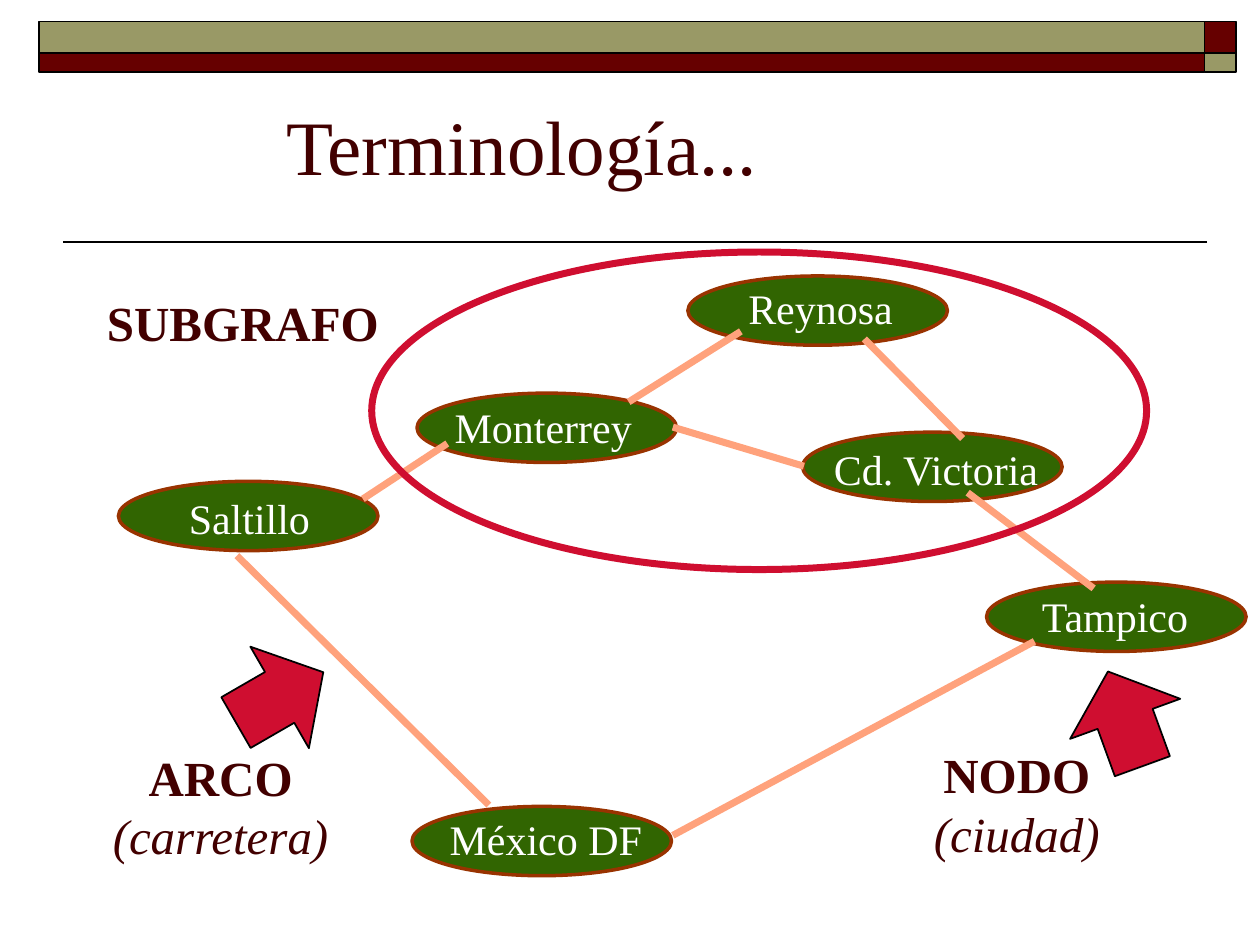
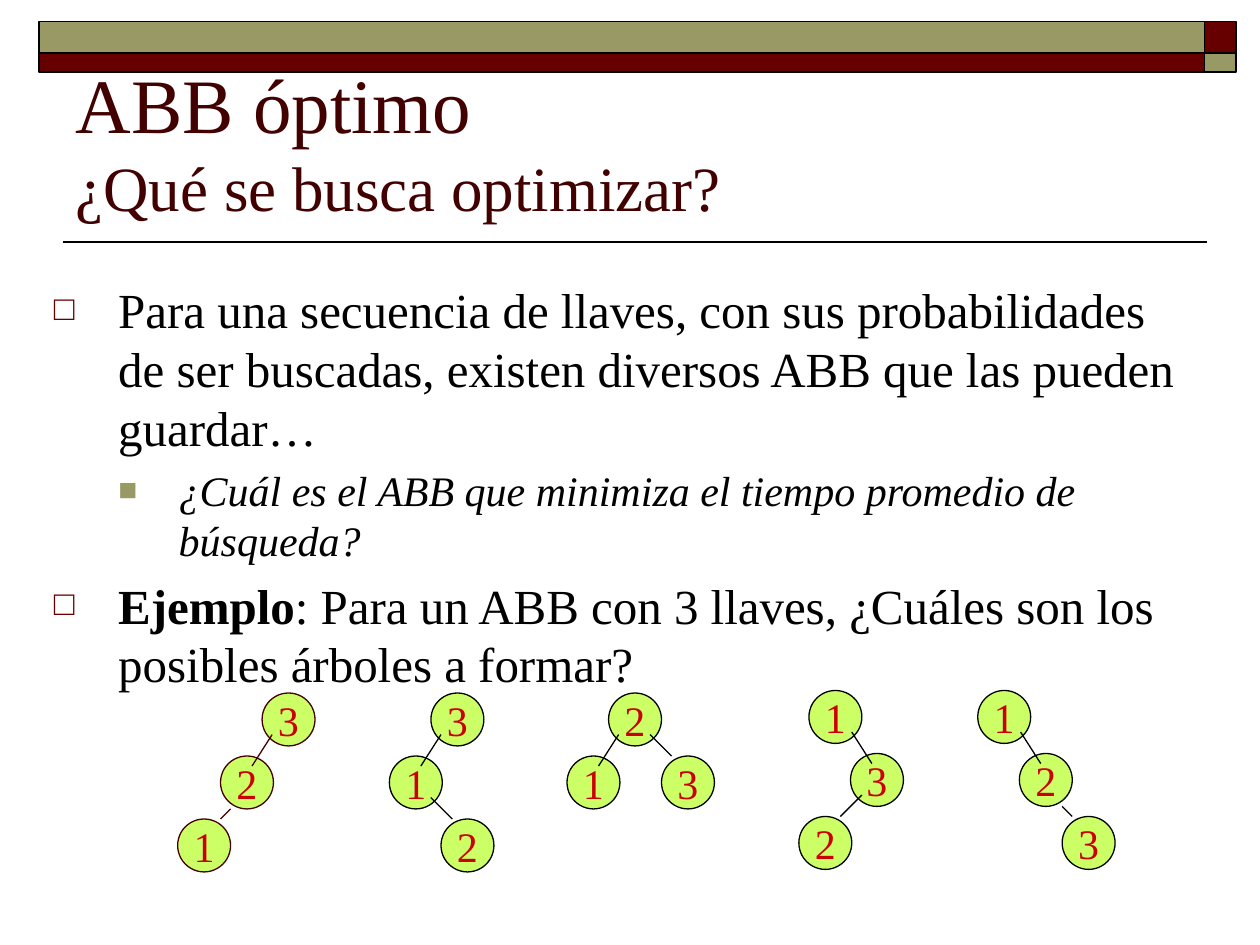
from lxml.etree import SubElement
from pptx import Presentation
from pptx.dml.color import RGBColor
from pptx.enum.shapes import MSO_CONNECTOR, MSO_SHAPE, MSO_SHAPE_TYPE
from pptx.enum.text import MSO_ANCHOR, MSO_AUTO_SIZE, PP_ALIGN
from pptx.oxml.ns import qn
from pptx.util import Inches, Pt

COLORS = {
    "title": "420000", "maroon": "660000", "olive": "999966", "black": "000000",
    "white": "FFFFFF", "city": "316501", "city_edge": "993300", "road": "FFA27C",
    "red": "CF0E30", "key_fill": "CCFF66", "key": "CC0000",
}
FONT = "Times New Roman"


def write(paragraph, text, size, color, bold=False, italic=False, align=PP_ALIGN.LEFT):
    paragraph.alignment = align
    run = paragraph.add_run()
    run.text = text
    run.font.name = FONT
    run.font.size = Pt(size)
    run.font.bold = bold
    run.font.italic = italic
    run.font.color.rgb = RGBColor.from_string(COLORS[color])


def paint(shape, line, width, fill=None):
    is_connector = shape.shape_type == MSO_SHAPE_TYPE.LINE
    if fill:
        shape.fill.solid()
        shape.fill.fore_color.rgb = RGBColor.from_string(COLORS[fill])
    elif not is_connector:
        shape.fill.background()
    shape.line.color.rgb = RGBColor.from_string(COLORS[line])
    shape.line.width = Pt(width)
    if is_connector:
        SubElement(shape._element.spPr, qn("a:effectLst"))
    else:
        shape.shadow.inherit = False


prs = Presentation()
prs.slide_width, prs.slide_height = Inches(10), Inches(7.5)
title_only = prs.slide_layouts[5]
graph_slide = prs.slides.add_slide(title_only)
tree_slide = prs.slides.add_slide(title_only)

bands = [
    (9.56, 0.17, 0.25, 0.25, "maroon"),
    (0.31, 0.17, 9.25, 0.25, "olive"),
    (0.31, 0.42, 9.25, 0.15, "maroon"),
    (9.56, 0.42, 0.25, 0.15, "olive"),
]
headings = [
    (graph_slide, (2.17, 0.52, 7.43, 1.25), MSO_ANCHOR.MIDDLE, [("Terminología...", 44)]),
    (tree_slide, (0.5, 0.58, 9, 1.25), MSO_ANCHOR.BOTTOM,
     [("ABB óptimo", 44), ("¿Qué se busca optimizar?", 36)]),
]
for slide, box, anchor, lines in headings:
    rule = slide.shapes.add_connector(
        MSO_CONNECTOR.STRAIGHT, Inches(9.58), Inches(1.92), Inches(0.5), Inches(1.92))
    paint(rule, "black", 1)
    for left, top, width, height, fill in bands:
        band = slide.shapes.add_shape(
            MSO_SHAPE.RECTANGLE, Inches(left), Inches(top), Inches(width), Inches(height))
        paint(band, "black", 1, fill)
    title = slide.shapes.title
    title.left, title.top, title.width, title.height = map(Inches, box)
    heading = title.text_frame
    heading.auto_size = MSO_AUTO_SIZE.NONE
    heading.vertical_anchor = anchor
    for index, (text, size) in enumerate(lines):
        if index:
            heading.paragraphs[0].add_line_break()
        write(heading.paragraphs[0], text, size, "title")

cities = [
    ("Monterrey", (3.31, 3.12), (3.51, 3.14, 1.7)),
    ("Saltillo", (0.94, 3.82), (1.4, 3.86, 1.26)),
    ("México DF", (3.27, 6.4), (3.47, 6.41, 1.83)),
    ("Reynosa", (5.46, 2.19), (5.84, 2.19, 1.45)),
    ("Cd. Victoria", (6.37, 3.43), (6.52, 3.47, 1.94)),
    ("Tampico", (7.83, 4.62), (8.17, 4.64, 1.48)),
]
for city, (left, top), name_box in cities:
    node = graph_slide.shapes.add_shape(
        MSO_SHAPE.OVAL, Inches(left), Inches(top), Inches(2.06), Inches(0.55))
    paint(node, "city_edge", 2, "city")

labels = [((*name_box, 0.5), [(city, 24, "white", False, False)])
          for city, position, name_box in cities]
for box, term, meaning in [
    ((0.74, 5.88, 2.02, 1.03), "ARCO", "(carretera)"),
    ((7.26, 5.86, 1.62, 1.03), "NODO", "(ciudad)"),
]:
    labels.append((box, [(term, 28, "title", True, False),
                         (meaning, 28, "title", False, True)]))
labels.append(((0.75, 2.27, 2.46, 0.56), [("SUBGRAFO", 28, "title", True, False)]))

for box, lines in labels:
    label = graph_slide.shapes.add_textbox(*map(Inches, box)).text_frame
    label.word_wrap = True
    align = PP_ALIGN.CENTER if len(lines) > 1 else PP_ALIGN.LEFT
    for index, (text, size, color, bold, italic) in enumerate(lines):
        paragraph = label.add_paragraph() if index else label.paragraphs[0]
        write(paragraph, text, size, color, bold=bold, italic=italic, align=align)

roads = [
    (2.88, 3.96, 3.55, 3.52),
    (5.34, 6.63, 8.21, 5.09),
    (1.88, 4.41, 3.88, 6.39),
    (4.99, 3.19, 5.88, 2.63),
    (7.64, 3.48, 6.86, 2.69),
    (8.68, 4.67, 7.68, 3.91),
    (6.38, 3.7, 5.34, 3.39),
]
for ends in roads:
    road = graph_slide.shapes.add_connector(MSO_CONNECTOR.STRAIGHT, *map(Inches, ends))
    paint(road, "road", 4)

for left, top, rotation in [(1.82, 5.07, 330), (8.53, 5.24, 250)]:
    pointer = graph_slide.shapes.add_shape(
        MSO_SHAPE.RIGHT_ARROW, Inches(left), Inches(top), Inches(0.8), Inches(0.93))
    pointer.rotation = rotation
    paint(pointer, "black", 1, "red")

subgraph = graph_slide.shapes.add_shape(
    MSO_SHAPE.OVAL, Inches(2.95), Inches(2), Inches(6.15), Inches(2.52))
paint(subgraph, "red", 4)

body = tree_slide.shapes.add_textbox(
    Inches(0.33), Inches(2.17), Inches(9.25), Inches(4.5)).text_frame
body.word_wrap = True
bullet_levels = [
    {"margin": 0.51, "indent": -0.51, "char": "□", "color": "maroon", "percent": 70, "size": 28},
    {"margin": 0.99, "indent": -0.48, "char": "■", "color": "olive", "percent": 75, "size": 24},
]
statements = [
    (0, [("Para una secuencia de llaves, con sus probabilidades de ser buscadas, "
          "existen diversos ABB que las pueden guardar…", False)]),
    (1, [("¿Cuál es el ABB que minimiza el tiempo promedio de búsqueda?", False)]),
    (0, [("Ejemplo", True),
         (": Para un ABB con 3 llaves, ¿Cuáles son los posibles árboles a formar?", False)]),
]
for index, (level, parts) in enumerate(statements):
    bullet = bullet_levels[level]
    paragraph = body.add_paragraph() if index else body.paragraphs[0]
    paragraph.level = level
    properties = paragraph._p.get_or_add_pPr()
    properties.set("marL", str(Inches(bullet["margin"])))
    properties.set("indent", str(Inches(bullet["indent"])))
    bullet_color = SubElement(properties, qn("a:buClr"))
    SubElement(bullet_color, qn("a:srgbClr"), val=COLORS[bullet["color"]])
    SubElement(properties, qn("a:buSzPct"), val=str(bullet["percent"] * 1000))
    SubElement(properties, qn("a:buFont"), typeface=FONT)
    SubElement(properties, qn("a:buChar"), char=bullet["char"])
    if index:
        paragraph.space_before = Pt(bullet["size"] * 0.2)
    for text, bold in parts:
        write(paragraph, text, bullet["size"], "black", bold=bold, italic=level == 1)

KEY_SIZE = 0.42
ROW_STEP = 0.5
first_branch = (0.08, 0.33, -0.08, 0.58)
straight = ([(0, 0), (-0.33, 1), (-0.67, 2)], (-0.25, 0.92, -0.33, 1))
zigzag = ([(0, 0), (-0.33, 1), (0.08, 2)], (0, 0.83, 0.17, 1))
balanced = ([(0, 0), (-0.33, 1), (0.42, 1)], (0.33, 0.33, 0.5, 0.5))
trees = [
    (2.08, 5.5, "321", straight, 1, "title"),
    (3.42, 5.5, "312", zigzag, 1, "black"),
    (4.83, 5.5, "213", balanced, 1, "black"),
    (7.76, 5.48, "123", straight, -1, "black"),
    (6.42, 5.48, "132", zigzag, -1, "black"),
]
for root_left, root_top, keys, (places, second_branch), side, line in trees:
    for key, (offset, row) in zip(keys, places):
        node = tree_slide.shapes.add_shape(
            MSO_SHAPE.OVAL, Inches(root_left + side * offset),
            Inches(root_top + row * ROW_STEP), Inches(KEY_SIZE), Inches(KEY_SIZE))
        paint(node, line, 0.75, "key_fill")
        frame = node.text_frame
        frame.word_wrap = False
        frame.vertical_anchor = MSO_ANCHOR.MIDDLE
        write(frame.paragraphs[0], key, 24, "key", align=PP_ALIGN.CENTER)
    center = root_left + KEY_SIZE / 2
    for x1, y1, x2, y2 in (first_branch, second_branch):
        branch = tree_slide.shapes.add_connector(
            MSO_CONNECTOR.STRAIGHT,
            Inches(center + side * (x1 - KEY_SIZE / 2)), Inches(root_top + y1),
            Inches(center + side * (x2 - KEY_SIZE / 2)), Inches(root_top + y2))
        paint(branch, line, 0.75)

prs.save("out.pptx")
